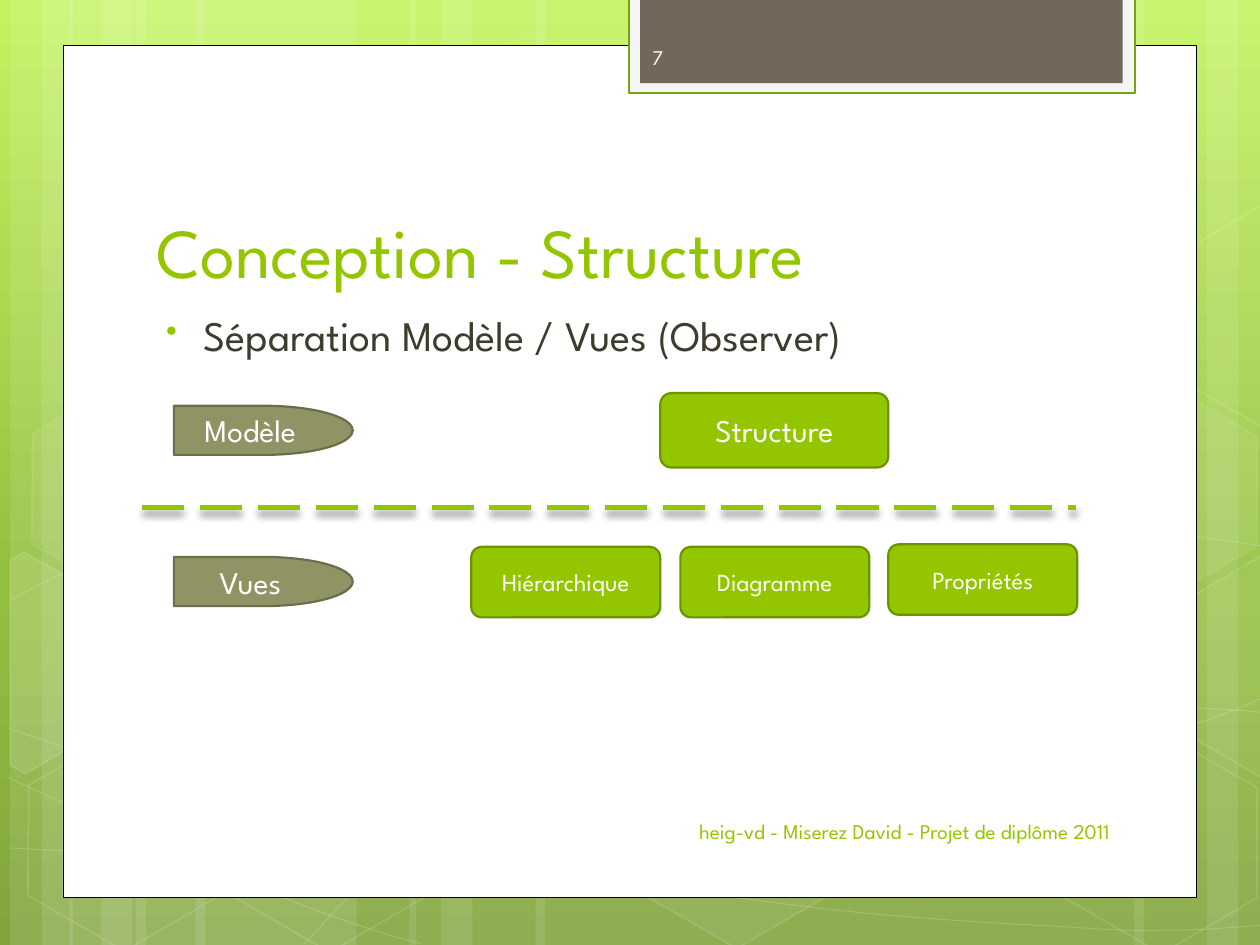
from math import cos, radians, sin

from lxml import etree
from pptx import Presentation
from pptx.dml.color import RGBColor
from pptx.enum.dml import MSO_LINE
from pptx.enum.shapes import MSO_CONNECTOR, MSO_SHAPE
from pptx.enum.text import MSO_ANCHOR, PP_ALIGN
from pptx.oxml.ns import qn
from pptx.util import Inches, Pt

RECT, ROUNDED = MSO_SHAPE.RECTANGLE, MSO_SHAPE.ROUNDED_RECTANGLE
HEXAGON, DELAY = MSO_SHAPE.HEXAGON, MSO_SHAPE.FLOWCHART_DELAY
LEFT, CENTER, RIGHT = PP_ALIGN.LEFT, PP_ALIGN.CENTER, PP_ALIGN.RIGHT
TOP, MIDDLE, BOTTOM = MSO_ANCHOR.TOP, MSO_ANCHOR.MIDDLE, MSO_ANCHOR.BOTTOM
FONT = "League Spartan"
TILT = 30
COLORS = {
    "white": "FFFFFF", "black": "000000", "green": "94C600", "green_edge": "6D9200",
    "olive": "909465", "olive_edge": "6B6D4B", "tab": "71685A", "tab_frame": "F5F5F5",
    "tab_edge": "74A510", "body": "3E3D2D", "number": "FEFEFE",
    "sky": "C3F35F", "meadow": "93BF3F", "moss": "81A53E",
}
BACKGROUND_STOPS = [(0, "sky"), (62, "meadow"), (100, "moss")]

# Left edge and width of the translucent full-height bands
BANDS = [(1.08, 1.75), (0.08, 0.5), (0.33, 0.83), (1.55, 1.75), (0.55, 0.5), (0.8, 0.83),
         (7.33, 1.75), (9.58, 0.5), (9, 0.83), (4.25, 3.08), (3.25, 0.5), (3.5, 0.83)]
# Each curve: its start, then three control points for every Bezier segment
CURVES = [
    [(0.07, 6.73), (0.61, 6.76), (1.15, 6.79), (1.9, 6.78), (2.65, 6.77), (3.58, 6.75),
     (4.58, 6.65), (5.58, 6.55), (7, 6.36), (7.92, 6.17), (8.83, 5.98), (9.77, 5.68),
     (10.07, 5.51)],
    [(0.07, 4.77), (0.36, 4.61), (0.65, 4.46), (1.21, 4.31), (1.78, 4.16), (2.59, 3.94),
     (3.47, 3.87), (4.36, 3.8), (5.44, 3.79), (6.54, 3.87), (7.64, 3.95), (9.47, 4.26),
     (10.07, 4.34)],
    [(0.06, 6.17), (1.27, 6.72), (2.47, 7.27), (3.34, 7.49)],
    [(0.07, 5.78), (0.38, 5.89), (0.7, 6), (1.28, 6.16), (1.86, 6.31), (2.73, 6.56),
     (3.57, 6.73), (4.4, 6.9), (5.45, 7.08), (6.28, 7.18), (7.11, 7.29), (8, 7.33),
     (8.53, 7.36), (9.05, 7.4), (9.19, 7.38), (9.45, 7.38), (9.71, 7.37), (9.89, 7.35),
     (10.07, 7.34)],
    [(2.42, 7.49), (2.6, 7.29), (2.78, 7.09), (3.02, 6.91), (3.26, 6.73), (3.6, 6.53),
     (3.88, 6.39), (4.16, 6.25), (4.33, 6.19), (4.7, 6.09), (5.06, 5.99), (5.73, 5.85),
     (6.08, 5.78), (6.44, 5.71), (6.49, 5.71), (6.8, 5.69), (7.11, 5.66), (7.6, 5.63),
     (7.94, 5.62), (8.29, 5.61), (8.86, 5.62), (8.86, 5.62), (9.08, 5.62), (9.3, 5.62),
     (9.53, 5.62), (9.71, 5.63), (9.88, 5.64), (9.97, 5.65), (10.06, 5.66),
     (10.03, 5.65), (10.06, 5.66)],
]
# Left, top, fill opacity and line opacity of the hexagons
HEXAGONS = [(3.34, 0.36, 4, 8), (4.97, 5.89, 6, 12), (0.11, 5.91, 0, 12), (0.14, 3.12, 7, 8),
            (1.74, 5.92, 0, 12), (7.53, 4.53, 10, 12), (8.34, 5.93, 0, 12), (8.34, 3.14, 7, 8)]
# Hexagons cut by the slide edge: fill opacity, centre of rotation and corners
CUT_HEXAGONS = [
    (10, (0.36, 5.35),
     [(0.08, 4.45), (0.19, 4.38), (0.96, 4.82), (0.95, 5.7), (0.2, 6.14), (0.08, 6.07)]),
    (4, (9.85, 5.2),
     [(9.26, 4.85), (10.01, 4.41), (10.09, 4.46), (10.09, 6.13), (10.02, 6.17), (9.26, 5.73)]),
    (0, (9.85, 2.41),
     [(9.26, 2.07), (10.01, 1.63), (10.1, 1.68), (10.09, 3.35), (10.02, 3.39), (9.26, 2.95)]),
]


def paint(fill, color, opacity=100):
    if color is None or opacity == 0:
        fill.background()
        return
    fill.solid()
    fill.fore_color.rgb = RGBColor.from_string(COLORS[color])
    if opacity < 100:
        swatch = fill._xPr.find(qn("a:solidFill"))[0]
        etree.SubElement(swatch, qn("a:alpha"), val=str(opacity * 1000))


def style(shape, fill=None, fill_opacity=100, line=None, width=1.25, line_opacity=100):
    shape.shadow.inherit = False
    paint(shape.fill, fill, fill_opacity)
    paint(shape.line.fill, line, line_opacity)
    if line:
        shape.line.width = Pt(width)
    return shape


def add_shape(page, kind, box, **look):
    return style(page.shapes.add_shape(kind, *map(Inches, box)), **look)


def add_outline(page, points, closed, **look):
    corners = [(Inches(x), Inches(y)) for x, y in points]
    builder = page.shapes.build_freeform(*corners[0])
    builder.add_line_segments(corners[1:], close=closed)
    return style(builder.convert_to_shape(), **look)


def add_curve(page, controls, **look):
    curve = add_outline(page, controls, False, **look)
    outline = curve._element.find(".//" + qn("a:path"))
    steps = outline.findall(qn("a:lnTo"))
    for start in range(0, len(steps), 3):
        bezier = etree.SubElement(outline, qn("a:cubicBezTo"))
        for step in steps[start:start + 3]:
            bezier.append(step[0])
            outline.remove(step)


def turn_back(point, center):
    x, y = point[0] - center[0], point[1] - center[1]
    across, down = cos(radians(TILT)), sin(radians(TILT))
    return center[0] + x * across + y * down, center[1] - x * down + y * across


def write(shape, text, size, color, align=LEFT, anchor=MIDDLE):
    frame = shape.text_frame
    frame.word_wrap = True
    frame.vertical_anchor = anchor
    para = frame.paragraphs[0]
    para.alignment = align
    span = para.add_run()
    span.text = text
    span.font.name, span.font.size = FONT, Pt(size)
    span.font.color.rgb = RGBColor.from_string(COLORS[color])
    return para


def add_text(page, box, text, size, color, **layout):
    return write(page.shapes.add_textbox(*map(Inches, box)), text, size, color, **layout)


def draw_background(page, height):
    fill = page.background.fill
    fill.gradient()
    fill.gradient_angle = 270
    stops = page._element.find(".//" + qn("a:gsLst"))
    for stop in list(stops):
        stops.remove(stop)
    for position, color in BACKGROUND_STOPS:
        stop = etree.SubElement(stops, qn("a:gs"), pos=str(position * 1000))
        etree.SubElement(stop, qn("a:srgbClr"), val=COLORS[color])
    for left, width in BANDS:
        add_shape(page, RECT, (left, 0, width, height), fill="white", fill_opacity=10)
    for controls in CURVES:
        add_curve(page, controls, line="white", width=0.5, line_opacity=20)
    for left, top, opacity, line_opacity in HEXAGONS:
        hexagon = add_shape(page, HEXAGON, (left, top, 1.75, 1.52), fill="white", width=1,
                            fill_opacity=opacity, line="white", line_opacity=line_opacity)
        hexagon.adjustments[0] = 0.285
        hexagon.rotation = TILT
    for opacity, center, corners in CUT_HEXAGONS:
        upright = [turn_back(corner, center) for corner in corners]
        add_outline(page, upright, True, fill="white", fill_opacity=opacity, line="white",
                    width=1, line_opacity=12).rotation = TILT


def draw_panel(page, box):
    left, top, width, height = box
    add_shape(page, RECT, box, fill="white", line="black", width=0.5)
    # Page number tab
    add_shape(page, RECT, (left + 4.49, -0.02, 4.02, 0.76), fill="tab_frame", line="tab_edge")
    add_shape(page, RECT, (left + 4.58, -0.02, 3.83, 0.68), fill="tab")
    add_text(page, (left + 4.58, 0.25, 1.46, 0.4), "7", 12, "number")
    # Footer
    add_text(page, (left + 4.03, top + height - 0.72, 4.38, 0.4),
             "heig-vd - Miserez David - Projet de diplôme 2011", 12, "green", align=RIGHT)


def draw_heading(page, box):
    left, top, width, height = box
    title = page.shapes.title
    title.left, title.top, title.width, title.height = map(Inches, box)
    write(title, "Conception - Structure", 40, "green", anchor=BOTTOM)
    para = add_text(page, (left, top + 1.29, 7.41, 3.97),
                    "Séparation Modèle / Vues (Observer)", 24, "body", anchor=TOP)
    para.space_after = Pt(12)
    settings = para._p.get_or_add_pPr()
    settings.set("marL", str(Inches(0.38)))
    settings.set("indent", str(Inches(-0.3)))
    bullet_color = etree.SubElement(settings, qn("a:buClr"))
    etree.SubElement(bullet_color, qn("a:srgbClr"), val=COLORS["green"])
    etree.SubElement(settings, qn("a:buSzPct"), val="76000")
    etree.SubElement(settings, qn("a:buChar"), char="•")


def draw_divider(page, left, right, y):
    divider = page.shapes.add_connector(MSO_CONNECTOR.STRAIGHT, *map(Inches, (left, y, right, y)))
    paint(divider.line.fill, "green")
    divider.line.width = Pt(3)
    divider.line.dash_style = MSO_LINE.LONG_DASH
    effects = etree.SubElement(divider._element.spPr, qn("a:effectLst"))
    shadow = etree.SubElement(effects, qn("a:outerShdw"), blurRad=str(Pt(4)), dist=str(Pt(3)),
                              dir="5400000", rotWithShape="0")
    swatch = etree.SubElement(shadow, qn("a:srgbClr"), val=COLORS["black"])
    etree.SubElement(swatch, qn("a:alpha"), val="40000")


def draw_diagram(page, box):
    left, top, width, height = box
    # Layer labels
    for label, offset in (("Modèle", 0.1), ("Vues", 1.3)):
        tag = add_shape(page, DELAY, (left + 0.25, top + offset, 1.42, 0.39),
                        fill="olive", line="olive_edge")
        write(tag, label, 18, "white", align=CENTER)
    draw_divider(page, left, left + width, top + 0.91)
    # Model and its views: label, text size, offset and size of each block
    for label, size, across, down, wide, high in (
            ("Structure", 18, 4.11, 0, 1.81, 0.59), ("Hiérarchique", 14, 2.61, 1.22, 1.5, 0.56),
            ("Diagramme", 14, 4.27, 1.22, 1.5, 0.56), ("Propriétés", 14, 5.92, 1.2, 1.5, 0.56)):
        block = add_shape(page, ROUNDED, (left + across, top + down, wide, high),
                          fill="green", line="green_edge")
        block.adjustments[0] = 0.15
        write(block, label, size, "white", align=CENTER)


def main():
    deck = Presentation()
    deck.slide_width, deck.slide_height = Inches(10), Inches(7.5)
    page = deck.slides.add_slide(deck.slide_layouts[5])
    draw_background(page, 7.5)
    draw_panel(page, (0.5, 0.36, 9, 6.76))
    # Bring the title in front of the panel
    page.shapes._spTree.append(page.shapes.title._element)
    draw_heading(page, (1.14, 1.12, 7.68, 1.25))
    draw_diagram(page, (1.13, 3.12, 7.41, 1.78))
    deck.save("out.pptx")


if __name__ == "__main__":
    main()
